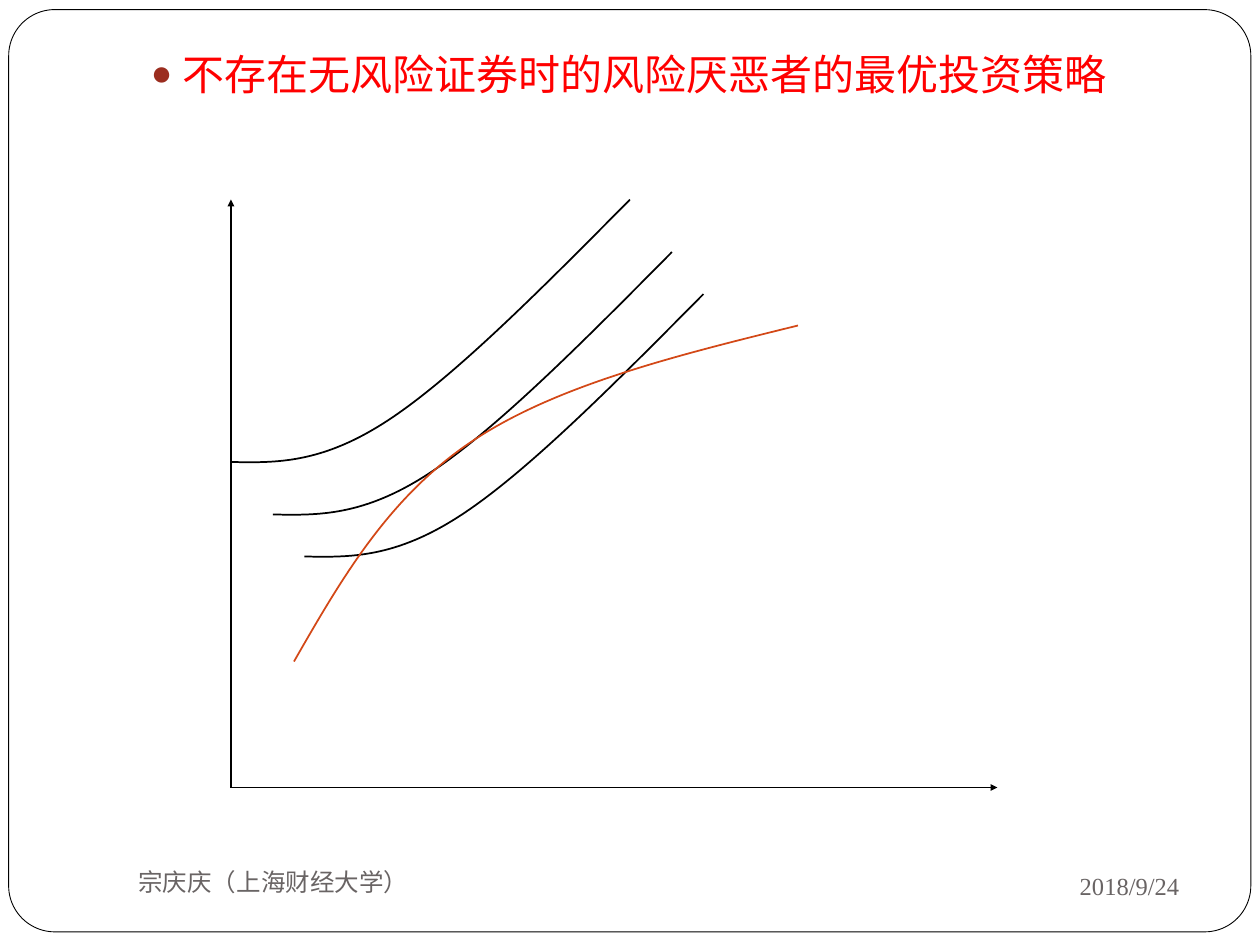
from typing import NamedTuple

from lxml.etree import SubElement
from pptx import Presentation
from pptx.dml.color import RGBColor
from pptx.enum.shapes import MSO_CONNECTOR, MSO_SHAPE
from pptx.enum.text import MSO_ANCHOR, PP_ALIGN
from pptx.oxml.ns import qn
from pptx.util import Pt

COLORS = {
    "paper": "FFFFFF",
    "ink": "000000",
    "title": "FF0000",
    "bullet": "9B2D1F",
    "frontier": "D34817",
    "footer": "696464",
}
SANS = "Noto Sans CJK SC"
SERIF = "Times New Roman"

Point = tuple[float, float]


class Curve(NamedTuple):
    """Cubic spline: a start, then two handles and an end for each segment."""
    points: list[Point]
    color: str


class Axis(NamedTuple):
    start: Point
    end: Point


def rgb(name: str) -> RGBColor:
    return RGBColor.from_string(COLORS[name])


def style_line(line, color: str, width: float) -> None:
    line.color.rgb = rgb(color)
    line.width = Pt(width)


def add_bullet(para, char: str, color: str, percent: int, left: float, hang: float) -> None:
    props = para._p.get_or_add_pPr()
    props.set("marL", str(Pt(left)))
    props.set("indent", str(-Pt(hang)))
    tint = SubElement(props, qn("a:buClr"))
    SubElement(tint, qn("a:srgbClr"), val=COLORS[color])
    SubElement(props, qn("a:buSzPct"), val=str(percent * 1000))
    SubElement(props, qn("a:buFont"), typeface=SERIF)
    SubElement(props, qn("a:buChar"), char=char)


def add_text(slide, text: str, *, box: tuple[float, float, float, float], size: float,
             color: str, font: str = SERIF, align=PP_ALIGN.LEFT,
             anchor=MSO_ANCHOR.MIDDLE, bullet: bool = False) -> None:
    frame = slide.shapes.add_textbox(*map(Pt, box)).text_frame
    frame.word_wrap = True
    frame.vertical_anchor = anchor
    para = frame.paragraphs[0]
    para.alignment = align
    if bullet:
        add_bullet(para, "●", "bullet", 85, left=43.2, hang=18)
    run = para.add_run()
    run.text = text
    run.font.size = Pt(size)
    run.font.name = font
    run.font.color.rgb = rgb(color)
    SubElement(run._r.get_or_add_rPr(), qn("a:ea"), typeface=SANS)


def add_frame(slide) -> None:
    frame = slide.shapes.add_shape(
        MSO_SHAPE.ROUNDED_RECTANGLE, Pt(5), Pt(5.5), Pt(709.8), Pt(527))
    frame.adjustments[0] = 0.05
    frame.shadow.inherit = False
    frame.fill.solid()
    frame.fill.fore_color.rgb = rgb("paper")
    style_line(frame.line, "ink", 0.5)


def add_axis(slide, axis: Axis) -> None:
    ends = map(Pt, axis.start + axis.end)
    arrow = slide.shapes.add_connector(MSO_CONNECTOR.STRAIGHT, *ends)
    style_line(arrow.line, "ink", 1)
    SubElement(arrow.line._get_or_add_ln(), qn("a:tailEnd"),
               type="triangle", w="sm", len="sm")
    SubElement(arrow._element.spPr, qn("a:effectLst"))


def bend(shape) -> None:
    """Turn each three line segments of the outline into one cubic segment."""
    outline = shape._element.find(".//" + qn("a:path"))
    lines = outline.findall(qn("a:lnTo"))
    for i in range(0, len(lines), 3):
        cubic = SubElement(outline, qn("a:cubicBezTo"))
        for line in lines[i:i + 3]:
            cubic.append(line[0])
            outline.remove(line)


def add_curve(slide, curve: Curve) -> None:
    start, *rest = [(Pt(x), Pt(y)) for x, y in curve.points]
    pen = slide.shapes.build_freeform(*start)
    pen.add_line_segments(rest, close=False)
    shape = pen.convert_to_shape()
    bend(shape)
    shape.shadow.inherit = False
    shape.fill.background()
    style_line(shape.line, curve.color, 1)


ORIGIN = (132, 450)
AXES = [Axis(ORIGIN, (570, 450)), Axis(ORIGIN, (132, 114))]
UTILITY = [(132, 264), (158, 264.5), (184, 265), (222, 240),
           (260, 215), (310, 164.5), (360, 114)]
SHIFTS = [(0, 0), (24, 30), (42, 54)]
FRONTIER = [(456, 186), (387, 203), (318, 220), (270, 252),
            (222, 284), (195, 331), (168, 378)]
CURVES = [Curve([(x + dx, y + dy) for x, y in UTILITY], "ink") for dx, dy in SHIFTS]
CURVES.append(Curve(FRONTIER, "frontier"))


def main() -> None:
    deck = Presentation()
    deck.slide_width, deck.slide_height = Pt(720), Pt(540)
    slide = deck.slides.add_slide(deck.slide_layouts[6])
    add_frame(slide)
    add_text(slide, "不存在无风险证券时的风险厌恶者的最优投资策略",
             box=(54, 24, 612, 462), size=24, color="title", font=SANS,
             anchor=MSO_ANCHOR.TOP, bullet=True)
    for axis in AXES:
        add_axis(slide, axis)
    for curve in CURVES:
        add_curve(slide, curve)
    add_text(slide, "2018/9/24", box=(486, 487.5, 195, 37.5), size=14,
             color="footer", align=PP_ALIGN.RIGHT)
    add_text(slide, "宗庆庆（上海财经大学）", box=(72, 486, 312, 36), size=14,
             color="footer")
    deck.save("out.pptx")


if __name__ == "__main__":
    main()
